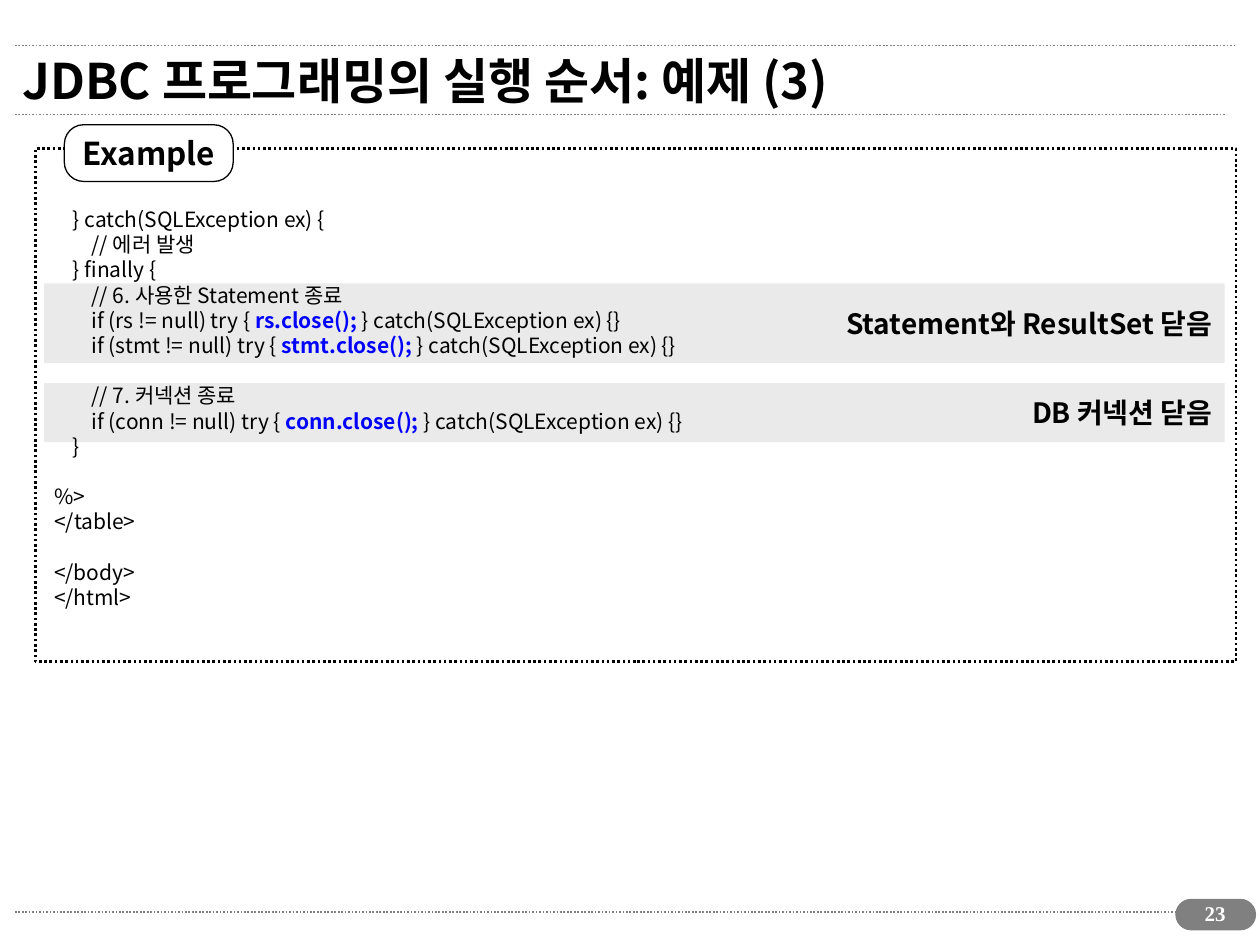
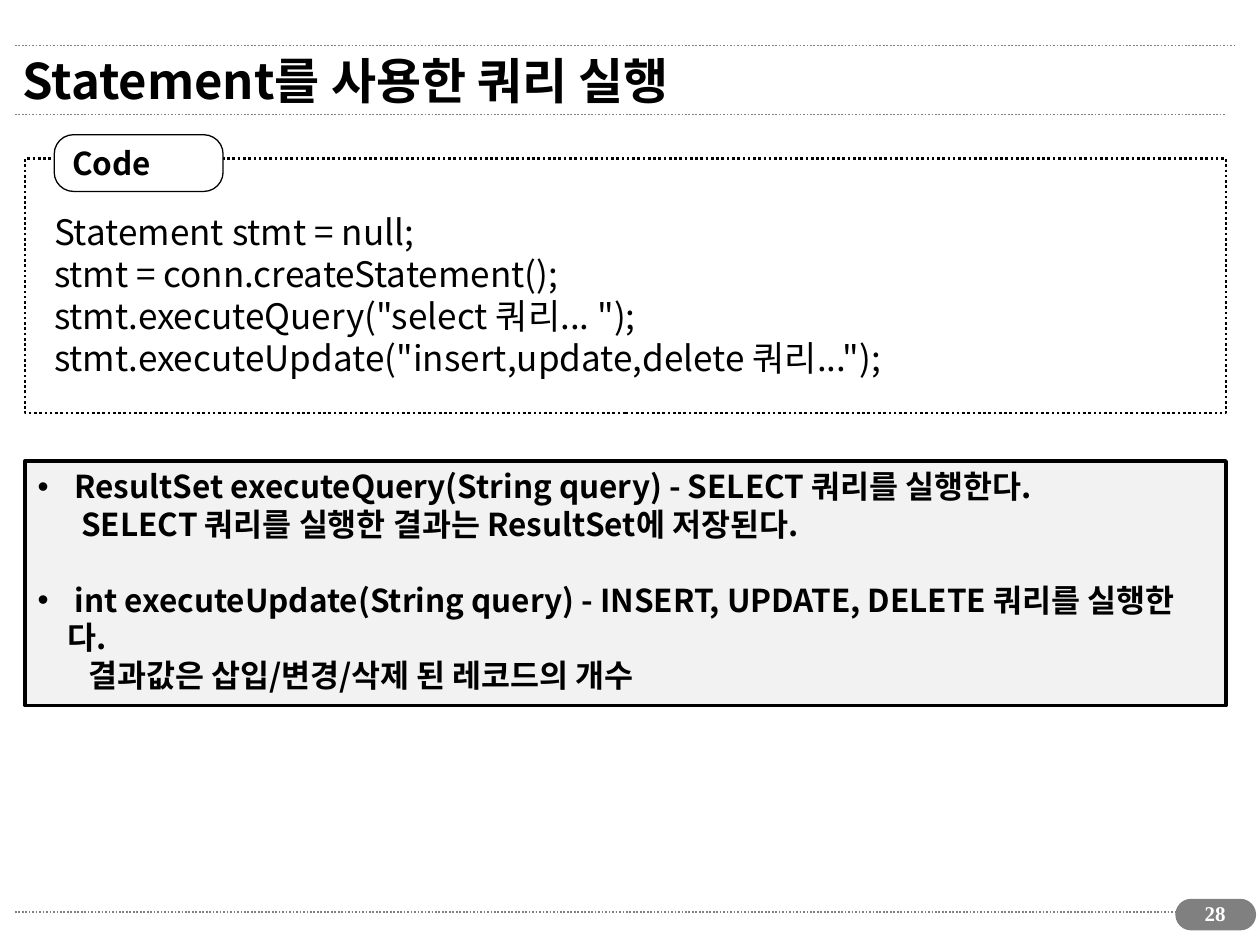
import pptx
import pptx.util
import pptx.dml.color
import pptx.enum.dml
import pptx.enum.shapes
import pptx.enum.text
import pptx.oxml
import pptx.oxml.ns
import lxml.etree

Pt = pptx.util.Pt
KIND = pptx.enum.shapes.MSO_SHAPE
ALIGN = pptx.enum.text.PP_ALIGN
MID = pptx.enum.text.MSO_ANCHOR.MIDDLE
DOT = pptx.enum.dml.MSO_LINE.ROUND_DOT
FONT = "Noto Sans CJK KR"
BLACK, WHITE, GREY, BLUE = "000000", "FFFFFF", "808080", "0000FF"
BAND, PALE = "EAEAEA", "F2F2F2"

CATCH = [
    "    } catch(SQLException ex) {",
    "        // 에러 발생",
    "    } finally {",
    "        // 6. 사용한 Statement 종료",
    "        if (rs != null) try { |rs.close();| } catch(SQLException ex) {}",
    "        if (stmt != null) try { |stmt.close();| } catch(SQLException ex) {}",
    "",
    "        // 7. 커넥션 종료",
    "        if (conn != null) try { |conn.close();| } catch(SQLException ex) {}",
    "    }",
    "",
    "%>",
    "</table>",
    "",
    "</body>",
    "</html>",
]
QUERY = [
    "Statement stmt = null;",
    "stmt = conn.createStatement();",
    'stmt.executeQuery("select 쿼리... ");',
    'stmt.executeUpdate("insert,update,delete 쿼리...");',
]
NOTES = [
    (" ResultSet executeQuery(String query) - SELECT 쿼리를 실행한다.",
     "SELECT 쿼리를 실행한 결과는 ResultSet에 저장된다.", 25),
    (" int executeUpdate(String query) - INSERT, UPDATE, DELETE 쿼리를 실행한다.",
     "결과값은 삽입/변경/삭제 된 레코드의 개수", 29),
]


def tint(hue):
    return pptx.dml.color.RGBColor.from_string(hue)


def style(run, size, hue=BLACK, bold=False, face=FONT):
    font = run.font
    font.size, font.bold, font.name = Pt(size), bold, face
    font.color.rgb = tint(hue)
    tag = pptx.oxml.ns.qn("a:ea")
    lxml.etree.SubElement(run._r.get_or_add_rPr(), tag, typeface=face)


def write(para, text, size, hue=BLACK, bold=False, face=FONT):
    para.text = text
    for run in para.runs:
        style(run, size, hue, bold, face)


def shape(slide, kind, box, fill=None, edge=None, width=0.75, dash=None):
    item = slide.shapes.add_shape(kind, *map(Pt, box))
    item.shadow.inherit = False
    if fill:
        item.fill.solid()
        item.fill.fore_color.rgb = tint(fill)
    else:
        item.fill.background()
    if edge:
        item.line.color.rgb = tint(edge)
        item.line.width = Pt(width)
        item.line.dash_style = dash
    else:
        item.line.fill.background()
    return item


def label(item, text, size, align):
    frame = item.text_frame
    frame.word_wrap = False
    frame.vertical_anchor = MID
    para = frame.paragraphs[0]
    para.alignment = align
    write(para, text, size, bold=True)


def rule(slide, left, right, top):
    kind = pptx.enum.shapes.MSO_CONNECTOR.STRAIGHT
    line = slide.shapes.add_connector(kind, *map(Pt, (left, top, right, top)))
    line.line.color.rgb = tint(GREY)
    line.line.width = Pt(1)
    line.line.dash_style = DOT
    tag = pptx.oxml.ns.qn("a:effectLst")
    lxml.etree.SubElement(line._element.spPr, tag)


def base(deck, text, page):
    slide = deck.slides.add_slide(deck.slide_layouts[5])
    for right, top in ((700.5, 521.3), (700, 65.5), (705.5, 26)):
        rule(slide, 8.5, right, top)
    pill = shape(slide, KIND.ROUNDED_RECTANGLE, (672, 514, 45.4, 17.3), GREY, GREY)
    pill.adjustments[0] = 0.5
    title = slide.shapes.title
    title.left, title.top, title.width, title.height = map(Pt, (5.8, 20.2, 655, 51))
    frame = title.text_frame
    frame.vertical_anchor = MID
    frame.word_wrap = True
    frame.paragraphs[0].alignment = ALIGN.LEFT
    write(frame.paragraphs[0], text, 28, bold=True)
    box = slide.shapes.add_textbox(*map(Pt, (674.6, 511.2, 39.6, 24.5)))
    box.text_frame.word_wrap = True
    para = box.text_frame.paragraphs[0]
    para.alignment = ALIGN.CENTER
    write(para, str(page), 12, WHITE, True, "Times New Roman")
    return slide


def panel(slide, box, name):
    left, top = box[:2]
    shape(slide, KIND.RECTANGLE, box, edge=BLACK, width=1.5, dash=DOT)
    tab = shape(slide, KIND.ROUNDED_RECTANGLE, (left + 16.6, top - 13.7, 96.5, 32.4), WHITE, BLACK)
    tab.adjustments[0] = 0.34
    label(tab, name, 18, ALIGN.LEFT)


def code(slide, box, lines, size):
    frame = slide.shapes.add_textbox(*map(Pt, box)).text_frame
    frame.word_wrap = True
    para, gap = frame.paragraphs[0], 0
    step = size * 1.2
    for line in lines:
        if not line:
            gap = step
            continue
        if para.runs:
            para = frame.add_paragraph()
        para.line_spacing = Pt(step)
        if gap:
            para.space_before = Pt(gap)
        gap = 0
        for spot, part in enumerate(line.split("|")):
            run = para.add_run()
            run.text = part
            mark = spot % 2 == 1
            style(run, size, BLUE if mark else BLACK, mark)


def indent(para, left, mark=None):
    props = para._p.get_or_add_pPr()
    props.set("marL", str(Pt(left)))
    props.set("indent", str(Pt(-left if mark else 0)))
    props.set("hangingPunct", "0")
    if mark:
        hue = lxml.etree.SubElement(props, pptx.oxml.ns.qn("a:buClr"))
        lxml.etree.SubElement(hue, pptx.oxml.ns.qn("a:srgbClr"), val=BLACK)
        lxml.etree.SubElement(props, pptx.oxml.ns.qn("a:buFont"), typeface="Arial")
        lxml.etree.SubElement(props, pptx.oxml.ns.qn("a:buChar"), char=mark)


def notes(slide, box, items):
    item = shape(slide, KIND.RECTANGLE, box, PALE, BLACK, 2.25)
    frame = item.text_frame
    frame.word_wrap = True
    frame.vertical_anchor = pptx.enum.text.MSO_ANCHOR.TOP
    step = 21.6
    for spot, (head, tail, left) in enumerate(items):
        para = frame.add_paragraph() if spot else frame.paragraphs[0]
        indent(para, 17, "•")
        if spot:
            para.space_before = Pt(step)
        rest = frame.add_paragraph()
        indent(rest, left)
        for line, text in ((para, head), (rest, tail)):
            line.alignment = ALIGN.LEFT
            line.line_spacing = Pt(step)
            write(line, text, 18, bold=True)


def close(deck):
    slide = base(deck, "JDBC 프로그래밍의 실행 순서: 예제 (3)", 23)
    bands = ((218.9, 33.8, "DB 커넥션 닫음"), (162, 45.4, "Statement와 ResultSet 닫음"))
    for top, high, text in bands:
        band = shape(slide, KIND.RECTANGLE, (25.2, top, 674.6, high), BAND)
        label(band, text, 16, ALIGN.RIGHT)
    panel(slide, (20.2, 85, 686.2, 293), "Example")
    code(slide, (23.8, 114.5, 614.2, 252), CATCH, 12)


def query(deck):
    slide = base(deck, "Statement를 사용한 쿼리 실행", 28)
    panel(slide, (14.4, 90.7, 686.2, 145.4), "Code")
    code(slide, (23.8, 116.6, 665.3, 103.7), QUERY, 20)
    notes(slide, (14.4, 263.5, 686.2, 139.7), NOTES)


def main():
    deck = pptx.Presentation()
    deck.slide_width, deck.slide_height = Pt(720), Pt(540)
    close(deck)
    query(deck)
    deck.save("out.pptx")


if __name__ == "__main__":
    main()
